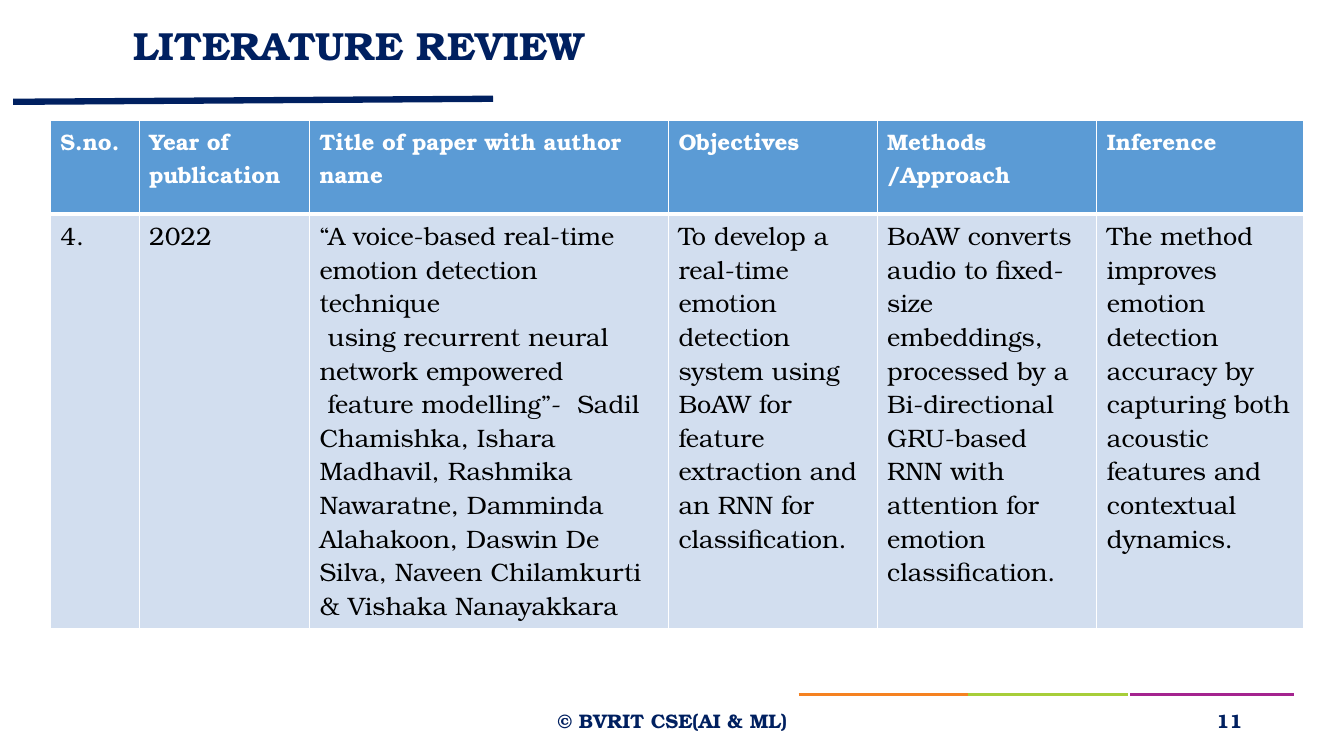
"""Build the literature review slide."""
import pptx
import pptx.util
import pptx.oxml
import pptx.dml.color
import pptx.enum.shapes
import pptx.enum.text
from pptx.dml.color import RGBColor

PX = 9144
FONT = "TeX Gyre Bonum"
NAVY = RGBColor(0x00, 0x20, 0x60)
BLUE = RGBColor(0x5B, 0x9B, 0xD5)
PALE = RGBColor(0xD2, 0xDE, 0xEF)
WHITE = RGBColor(0xFF, 0xFF, 0xFF)
BLACK = RGBColor(0x00, 0x00, 0x00)
PURPLE = RGBColor(0xA4, 0x23, 0x8F)
GREEN = RGBColor(0xA7, 0xCE, 0x39)
ORANGE = RGBColor(0xF5, 0x82, 0x21)
ALIGN = pptx.enum.text.PP_ALIGN
DRAWING_NS = 'xmlns:a="http://schemas.openxmlformats.org/drawingml/2006/main"'

COLUMN_WIDTHS = [88, 169, 356, 207, 218, 205]
ROW_HEIGHTS = [93, 412]
HEADINGS = ["S.no.", "Year of publication", "Title of paper with author name",
            "Objectives", "Methods /Approach", "Inference"]
PAPER = [
    "4.",
    "2022",
    "“A voice-based real-time emotion detection technique\n"
    " using recurrent neural network empowered\n"
    " feature modelling”-  Sadil Chamishka, Ishara Madhavil, Rashmika Nawaratne, "
    "Damminda Alahakoon, Daswin De Silva, Naveen Chilamkurti & Vishaka Nanayakkara",
    "To develop a real-time emotion detection system using BoAW for feature "
    "extraction and an RNN for classification.",
    "BoAW converts audio to fixed-size embeddings, processed by a Bi-directional "
    "GRU-based RNN with attention for emotion classification.",
    "The method improves emotion detection accuracy by capturing both acoustic "
    "features and contextual dynamics.",
]


def px(length):
    """Turn px into EMU."""
    return pptx.util.Emu(length * PX)


def style_font(para, size, color, bold):
    """Set the font of one paragraph."""
    para.font.name = FONT
    para.font.size = pptx.util.Pt(size)
    para.font.bold = bold
    para.font.color.rgb = color


def add_rule(page, start, end, color, weight):
    """Draw a straight line between two points."""
    rule = page.shapes.add_connector(
        pptx.enum.shapes.MSO_CONNECTOR.STRAIGHT, *map(px, start + end))
    rule.line.color.rgb = color
    rule.line.width = pptx.util.Pt(weight)
    rule._element.spPr.append(pptx.oxml.parse_xml(f"<a:effectLst {DRAWING_NS}/>"))


def add_label(page, box, text, size, align):
    """Place one line of bold navy text in a box."""
    frame = page.shapes.add_textbox(*map(px, box)).text_frame
    frame.word_wrap = True
    frame.vertical_anchor = pptx.enum.text.MSO_ANCHOR.MIDDLE
    para = frame.paragraphs[0]
    para.text = text
    para.alignment = align
    style_font(para, size, NAVY, True)
    return para


def add_header(page, left, top):
    """Place the title and the sloping rule under it."""
    title = add_label(page, (left + 110, top, 1068, 65),
                      "LITERATURE REVIEW", 28, ALIGN.LEFT)
    title.line_spacing = 0.9
    add_rule(page, (left, top + 86), (left + 476, top + 83), NAVY, 4.5)


def set_borders(cell, weights):
    """Give a cell white borders, with a weight in points for each side."""
    properties = cell._tc.get_or_add_tcPr()
    for position, (side, weight) in enumerate(weights.items()):
        properties.insert(position, pptx.oxml.parse_xml(
            f'<a:ln{side} {DRAWING_NS} w="{pptx.util.Pt(weight)}"><a:solidFill>'
            f'<a:srgbClr val="{WHITE}"/></a:solidFill></a:ln{side}>'))


def fill_row(table, row, texts, fill, size, color, bold, borders):
    """Write and style the cells of one table row."""
    for column, text in enumerate(texts):
        cell = table.cell(row, column)
        cell.text = text
        cell.fill.solid()
        cell.fill.fore_color.rgb = fill
        set_borders(cell, borders)
        for para in cell.text_frame.paragraphs:
            style_font(para, size, color, bold)


def add_review_table(page, left, top):
    """Build the table of reviewed papers."""
    table = page.shapes.add_table(
        len(ROW_HEIGHTS), len(COLUMN_WIDTHS), px(left), px(top),
        px(sum(COLUMN_WIDTHS)), px(sum(ROW_HEIGHTS))).table
    for column, width in zip(table.columns, COLUMN_WIDTHS):
        column.width = px(width)
    for row, height in zip(table.rows, ROW_HEIGHTS):
        row.height = px(height)
    fill_row(table, 0, HEADINGS, BLUE, 16, WHITE, True,
             {"L": 1, "R": 1, "T": 1, "B": 3})
    fill_row(table, 1, PAPER, PALE, 18, BLACK, False,
             {"L": 1, "R": 1, "T": 3, "B": 1})


def add_footer(page, left, top):
    """Place the coloured rules, the copyright line and the page number."""
    for start, end, color in [(679, 841, PURPLE), (509, 677, GREEN), (350, 518, ORANGE)]:
        add_rule(page, (left + start, top), (left + end, top), color, 2.25)
    add_label(page, (left, top + 6, 450, 40), "© BVRIT CSE(AI & ML)", 14, ALIGN.CENTER)
    add_label(page, (left + 500, top + 6, 300, 40), "11", 14, ALIGN.RIGHT)


def main():
    """Assemble and save the deck."""
    deck = pptx.Presentation()
    deck.slide_width, deck.slide_height = px(1333), px(750)
    page = deck.slides.add_slide(deck.slide_layouts[6])
    add_header(page, 13, 15)
    add_review_table(page, 50, 119)
    add_footer(page, 442, 689)
    deck.save("out.pptx")


if __name__ == "__main__":
    main()
